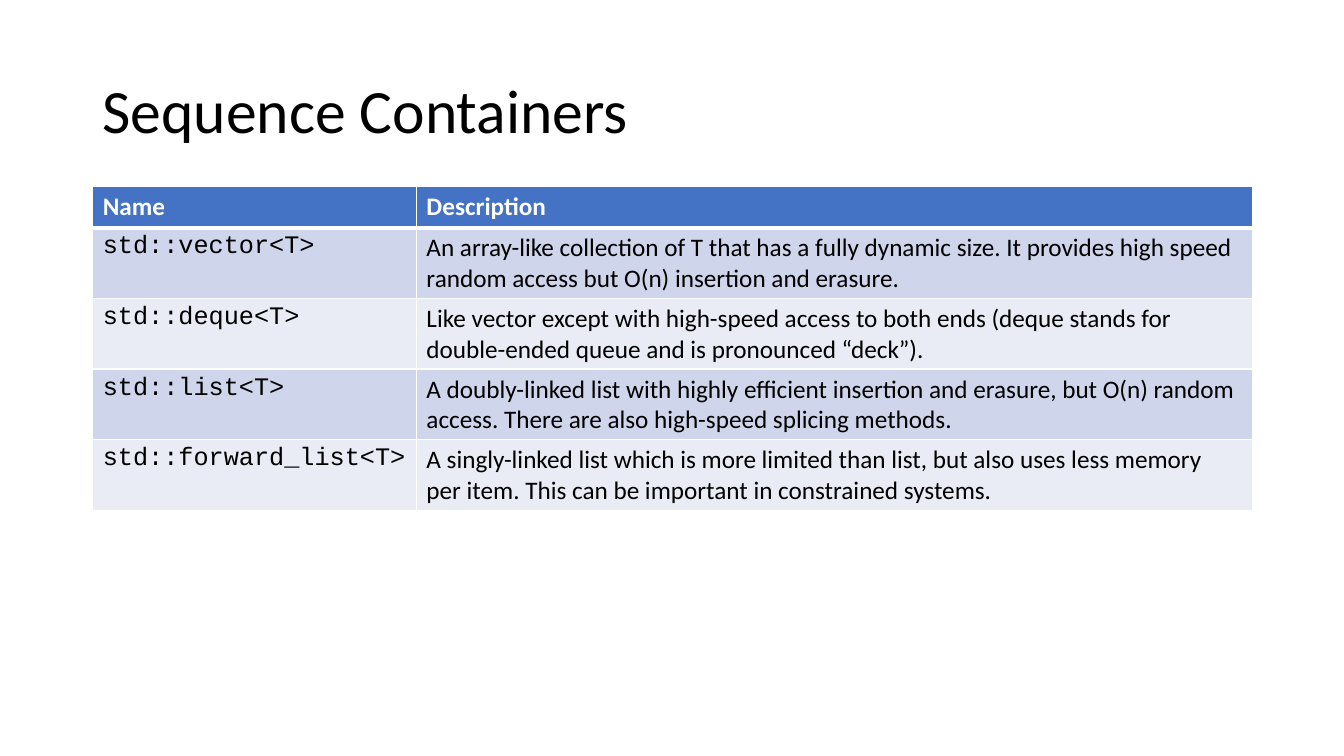
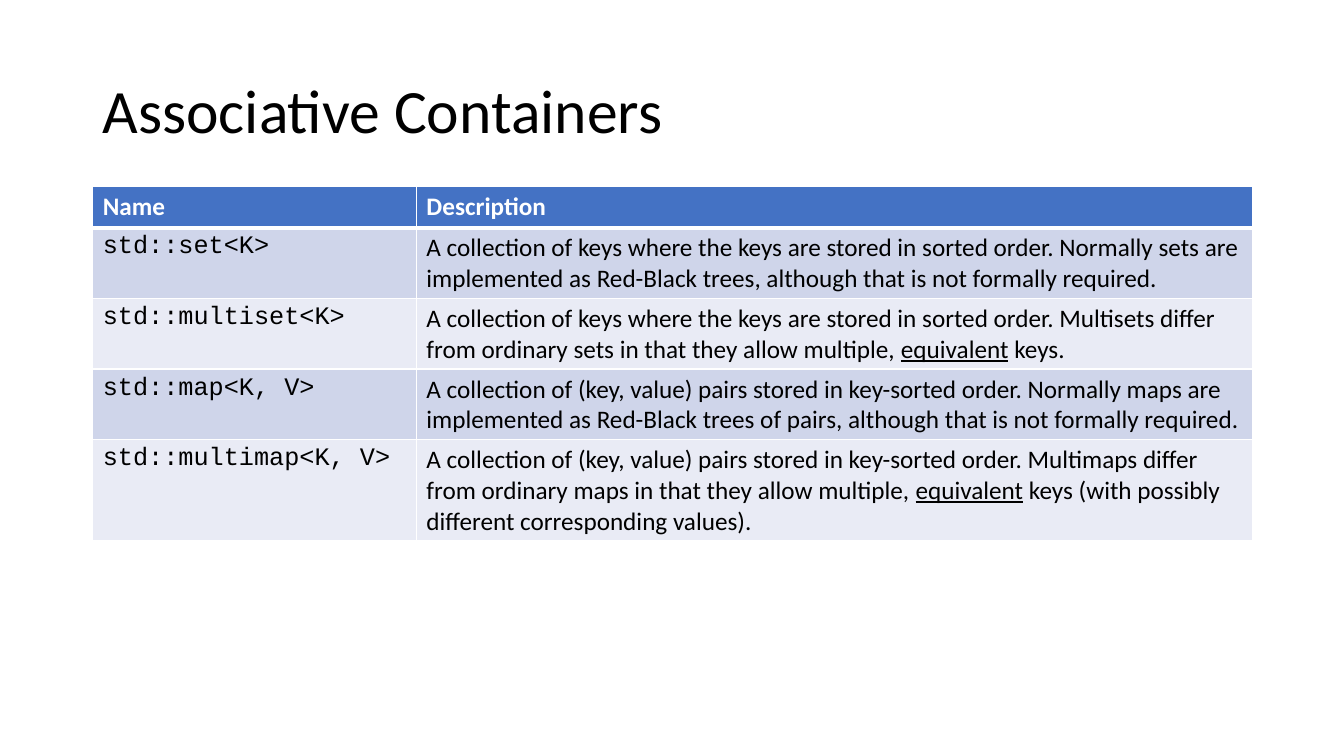
from dataclasses import dataclass

from lxml.etree import SubElement
from pptx import Presentation
from pptx.dml.color import RGBColor
from pptx.enum.text import MSO_ANCHOR
from pptx.oxml.ns import qn
from pptx.util import Inches, Pt


@dataclass(frozen=True)
class Theme:
    text: str = "000000"
    header_text: str = "FFFFFF"
    header_fill: str = "4472C4"
    band_fills: tuple = ("CFD5EA", "E9EBF5")
    border: str = "FFFFFF"
    border_width: float = 1
    header_border_width: float = 3
    font: str = "Calibri"
    code_font: str = "Courier New"
    title_size: int = 44
    table_size: int = 18


LEFT, WIDTH = 0.92, 11.5
TITLE_TOP, TITLE_HEIGHT = 0.4, 1.45
COLUMN_WIDTHS = (3.21, 8.29)
HEADER_HEIGHT = 0.41
HEADINGS = ("Name", "Description")

# Each row: name, description (underlined words between asterisks), height.
SLIDES = {
    "Sequence Containers": [
        ("std::vector<T>",
         "An array-like collection of T that has a fully dynamic size. It provides "
         "high speed random access but O(n) insertion and erasure.", 0.7),
        ("std::deque<T>",
         "Like vector except with high-speed access to both ends (deque stands for "
         "double-ended queue and is pronounced “deck”).", 0.7),
        ("std::list<T>",
         "A doubly-linked list with highly efficient insertion and erasure, but O(n) "
         "random access. There are also high-speed splicing methods.", 0.7),
        ("std::forward_list<T>",
         "A singly-linked list which is more limited than list, but also uses less "
         "memory per item. This can be important in constrained systems.", 0.7),
    ],
    "Associative Containers": [
        ("std::set<K>",
         "A collection of keys where the keys are stored in sorted order. Normally sets "
         "are implemented as Red-Black trees, although that is not formally required.", 0.7),
        ("std::multiset<K>",
         "A collection of keys where the keys are stored in sorted order. Multisets "
         "differ from ordinary sets in that they allow multiple, *equivalent* keys.", 0.7),
        ("std::map<K, V>",
         "A collection of (key, value) pairs stored in key-sorted order. Normally maps are "
         "implemented as Red-Black trees of pairs, although that is not formally required.", 0.7),
        ("std::multimap<K, V>",
         "A collection of (key, value) pairs stored in key-sorted order. Multimaps differ "
         "from ordinary maps in that they allow multiple, *equivalent* keys (with possibly "
         "different corresponding values).", 1.0),
    ],
}


class Deck:
    def __init__(self, theme):
        self.theme = theme
        self.presentation = Presentation()
        self.presentation.slide_width = Inches(13.33)
        self.presentation.slide_height = Inches(7.5)
        self.slide = None

    def add_slide(self):
        blank = self.presentation.slide_layouts[6]
        self.slide = self.presentation.slides.add_slide(blank)

    def style_run(self, run, font, size, color, bold=False):
        run.font.name = font
        run.font.size = Pt(size)
        run.font.color.rgb = RGBColor.from_string(color)
        run.font.bold = bold

    def title(self, text):
        shape = self.slide.shapes.add_textbox(
            Inches(LEFT), Inches(TITLE_TOP), Inches(WIDTH), Inches(TITLE_HEIGHT))
        frame = shape.text_frame
        frame.word_wrap = True
        frame.vertical_anchor = MSO_ANCHOR.MIDDLE
        frame.text = text
        paragraph = frame.paragraphs[0]
        paragraph.line_spacing = 0.9
        self.style_run(paragraph.runs[0], self.theme.font, self.theme.title_size, self.theme.text)

    def table(self, rows):
        heights = [HEADER_HEIGHT] + [height for _, _, height in rows]
        top = TITLE_TOP + TITLE_HEIGHT
        table = self.slide.shapes.add_table(
            len(heights), len(COLUMN_WIDTHS), Inches(LEFT), Inches(top),
            Inches(WIDTH), Inches(sum(heights))).table
        for column, width in zip(table.columns, COLUMN_WIDTHS):
            column.width = Inches(width)
        for row, height in zip(table.rows, heights):
            row.height = Inches(height)

        theme = self.theme
        texts = [HEADINGS] + [row[:2] for row in rows]
        for row_index, row_texts in enumerate(texts):
            for column_index, text in enumerate(row_texts):
                cell = table.cell(row_index, column_index)
                self.cell_borders(cell, row_index)
                if row_index == 0:
                    fill, color, font = theme.header_fill, theme.header_text, theme.font
                else:
                    fill = theme.band_fills[(row_index - 1) % len(theme.band_fills)]
                    color = theme.text
                    font = (theme.code_font, theme.font)[column_index]
                cell.fill.solid()
                cell.fill.fore_color.rgb = RGBColor.from_string(fill)
                self.cell_text(cell, text, font, color, bold=row_index == 0)

    def cell_text(self, cell, text, font, color, bold):
        """Write the text, underlining the parts between asterisks."""
        paragraph = cell.text_frame.paragraphs[0]
        for index, part in enumerate(text.split("*")):
            run = paragraph.add_run()
            run.text = part
            self.style_run(run, font, self.theme.table_size, color, bold)
            run.font.underline = index % 2 == 1

    def cell_borders(self, cell, row_index):
        """Draw all four sides, with a thicker line below the header row."""
        properties = cell._tc.get_or_add_tcPr()
        for side in ("L", "R", "T", "B"):
            below_header = (row_index, side) in ((0, "B"), (1, "T"))
            width = self.theme.header_border_width if below_header else self.theme.border_width
            line = SubElement(properties, qn(f"a:ln{side}"), w=str(Pt(width)))
            fill = SubElement(line, qn("a:solidFill"))
            SubElement(fill, qn("a:srgbClr"), val=self.theme.border)


def main():
    deck = Deck(Theme())
    for title, rows in SLIDES.items():
        deck.add_slide()
        deck.title(title)
        deck.table(rows)
    deck.presentation.save("out.pptx")


if __name__ == "__main__":
    main()
